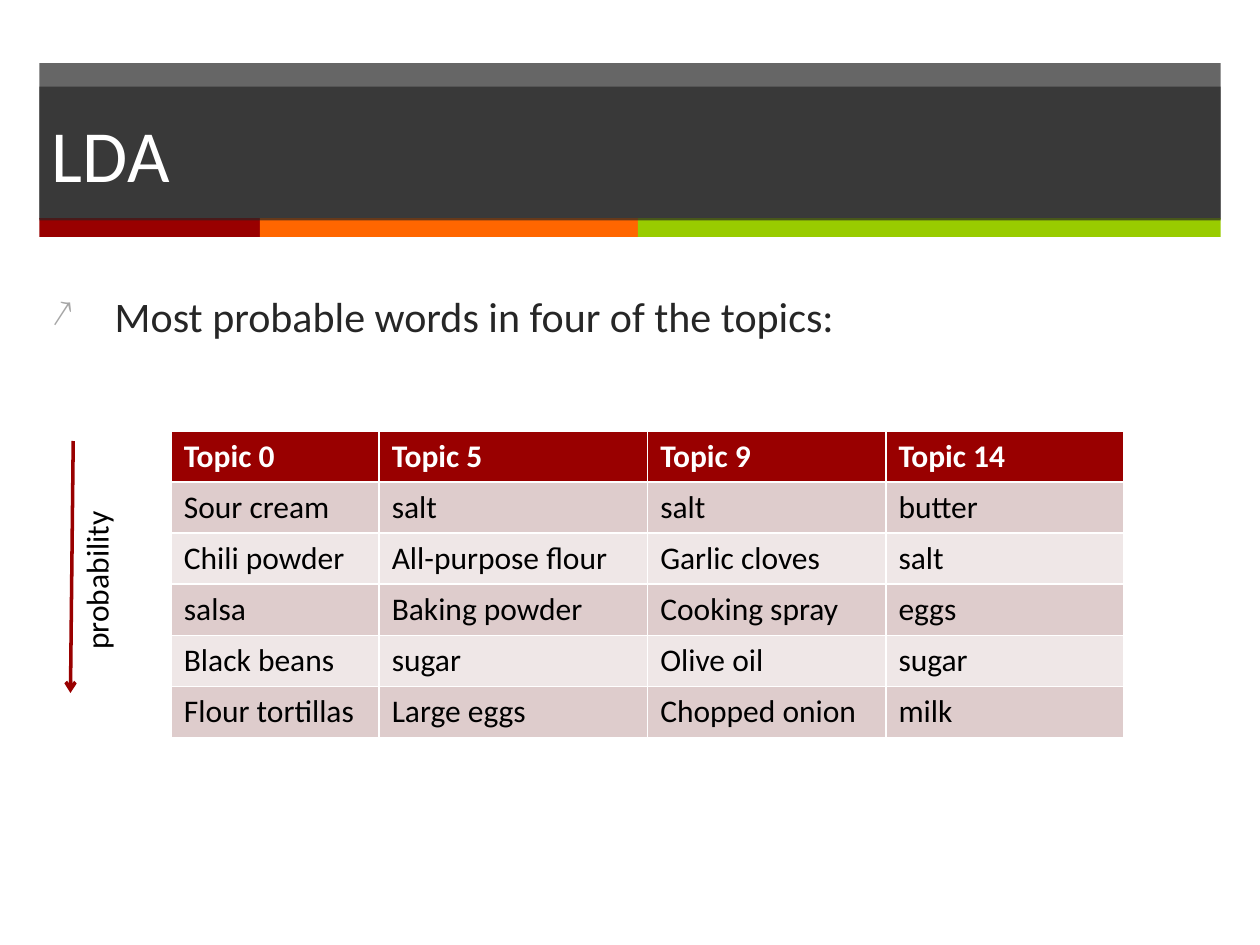
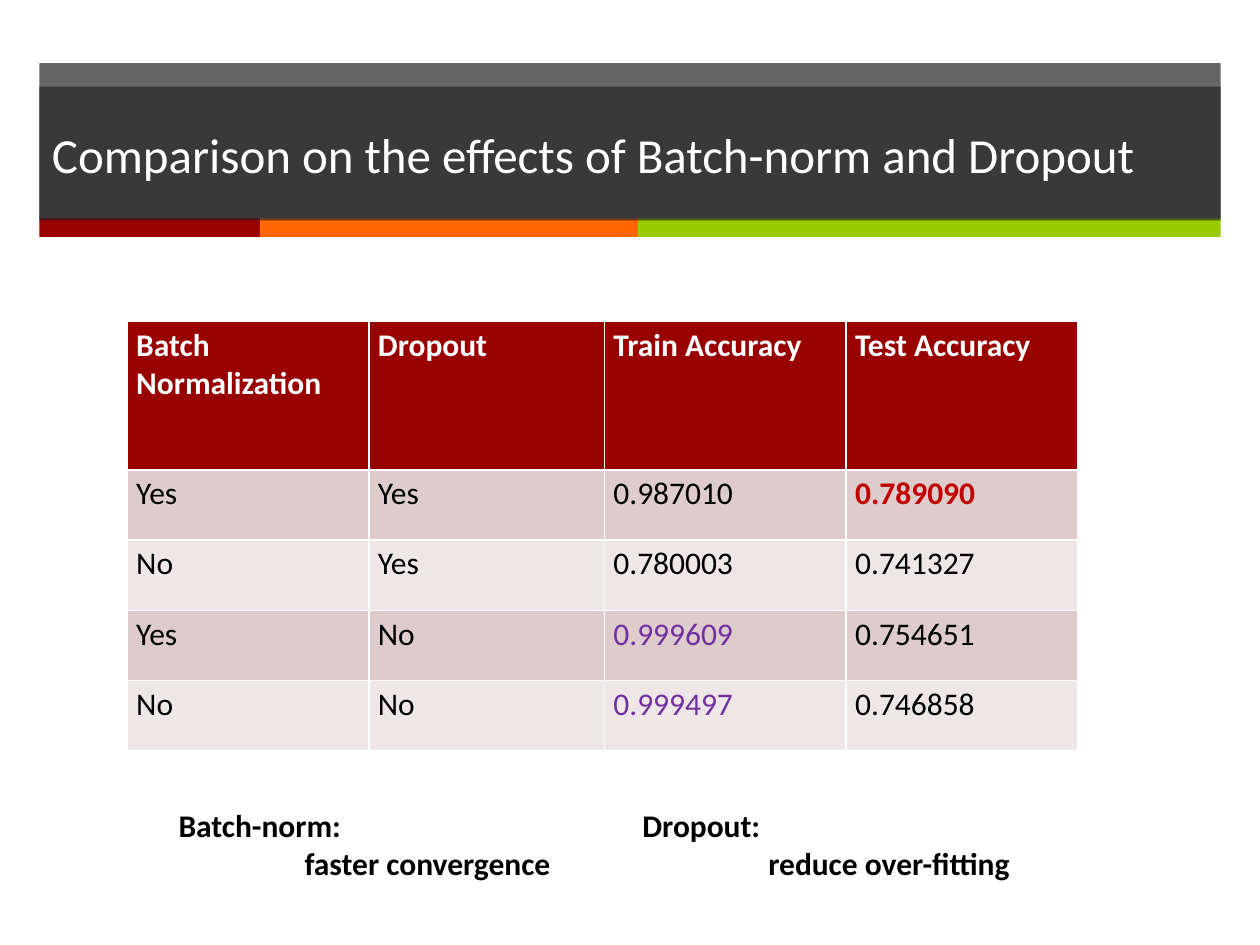
from lxml.etree import SubElement
from pptx import Presentation
from pptx.dml.color import RGBColor
from pptx.enum.shapes import MSO_CONNECTOR as Connector, MSO_SHAPE as Shape
from pptx.enum.text import MSO_ANCHOR as Anchor, PP_ALIGN as Align
from pptx.oxml.ns import qn
from pptx.util import Inches, Pt

WHITE = RGBColor(0xFF, 0xFF, 0xFF)
BLACK = RGBColor(0x00, 0x00, 0x00)
CHARCOAL = RGBColor(0x26, 0x26, 0x26)
CRIMSON = RGBColor(0x99, 0x00, 0x00)
ORANGE = RGBColor(0xFF, 0x66, 0x00)
LIME = RGBColor(0x99, 0xCC, 0x00)
ROW_DARK = RGBColor(0xDE, 0xCC, 0xCC)
ROW_LIGHT = RGBColor(0xEF, 0xE7, 0xE7)
RED = RGBColor(0xC0, 0x00, 0x00)
PURPLE = RGBColor(0x70, 0x30, 0xA0)

presentation = Presentation()
presentation.slide_width, presentation.slide_height = Inches(10), Inches(7.5)
COLUMN = presentation.slide_width / 32
ROW = presentation.slide_height / 60


def grid(left, top, columns, rows):
    return [int(left * COLUMN), int(top * ROW), int(columns * COLUMN), int(rows * ROW)]


def write(paragraph, text, size=18, color=BLACK, bold=False):
    paragraph.text = text
    paragraph.alignment = Align.LEFT
    font = paragraph.runs[0].font
    for name, value in {"name": "Calibri", "size": Pt(size), "bold": bold}.items():
        setattr(font, name, value)
    font.color.rgb = color


BANDS = [
    (1, 4, 30, 9.9, CHARCOAL),
    (1, 13.85, 5.6, 1.2, CRIMSON),
    (6.6, 13.85, 9.6, 1.2, ORANGE),
    (16.2, 13.85, 14.8, 1.2, LIME),
]
PAGES = [
    {
        "title": "LDA",
        "title_size": 42,
        "corner": (4.35, 27.36),
        "columns": [5.28, 6.82, 6.05, 6.05],
        "rows": [3.24] * 6,
        "margins": (0.32, 0.4),
        "cells": [
            ["Topic 0", "Topic 5", "Topic 9", "Topic 14"],
            ["Sour cream", "salt", "salt", "butter"],
            ["Chili powder", "All-purpose flour", "Garlic cloves", "salt"],
            ["salsa", "Baking powder", "Cooking spray", "eggs"],
            ["Black beans", "sugar", "Olive oil", "sugar"],
            ["Flour tortillas", "Large eggs", "Chopped onion", "milk"],
        ],
        "accents": {},
    },
    {
        "title": "Comparison on the effects of Batch-norm and Dropout",
        "title_size": 28,
        "corner": (3.23, 20.4),
        "columns": [6.14, 5.98, 6.14, 5.89],
        "rows": [9.44] + [4.46] * 4,
        "margins": (0.23, 0.3),
        "cells": [
            ["Batch Normalization", "Dropout", "Train Accuracy", "Test Accuracy"],
            ["Yes", "Yes", "0.987010", "0.789090"],
            ["No", "Yes", "0.780003", "0.741327"],
            ["Yes", "No", "0.999609", "0.754651"],
            ["No", "No", "0.999497", "0.746858"],
        ],
        "accents": {"0.789090": (RED, True), "0.999609": (PURPLE, False), "0.999497": (PURPLE, False)},
    },
]

slides = []
for page in PAGES:
    slide = presentation.slides.add_slide(presentation.slide_layouts[5])
    slides.append(slide)
    title = slide.shapes.title
    title.left, title.top, title.width, title.height = grid(1, 5.5, 30, 8.5)
    title.text_frame.vertical_anchor = Anchor.MIDDLE
    write(title.text_frame.paragraphs[0], page["title"], page["title_size"], WHITE)
    title.fill.solid()
    title.fill.fore_color.rgb = CHARCOAL

    bands = []
    for *place, color in BANDS:
        band = slide.shapes.add_shape(Shape.RECTANGLE, *grid(*place))
        band.shadow.inherit = False
        band.line.fill.background()
        band.fill.solid()
        band.fill.fore_color.rgb = color
        bands.append(band)
    for shape in (bands[0], title):
        fill_color = shape.element.spPr.find(qn("a:solidFill"))[0]
        SubElement(fill_color, qn("a:alpha"), val="70000")
    title.element.getparent().append(title.element)

    cells, widths, heights = page["cells"], page["columns"], page["rows"]
    place = grid(*page["corner"], sum(widths), sum(heights))
    table = slide.shapes.add_table(len(cells), len(widths), *place).table
    for column, width in zip(table.columns, widths):
        column.width = int(width * COLUMN)
    side, edge = int(page["margins"][0] * COLUMN), int(page["margins"][1] * ROW)
    for row_index, texts in enumerate(cells):
        table.rows[row_index].height = int(heights[row_index] * ROW)
        for column_index, text in enumerate(texts):
            cell = table.cell(row_index, column_index)
            cell.margin_left = cell.margin_right = side
            cell.margin_top = cell.margin_bottom = edge
            cell.fill.solid()
            if row_index == 0:
                cell.fill.fore_color.rgb = CRIMSON
                color, bold = WHITE, True
            else:
                cell.fill.fore_color.rgb = ROW_DARK if row_index % 2 else ROW_LIGHT
                color, bold = page["accents"].get(text, (BLACK, False))
            write(cell.text_frame.paragraphs[0], text, color=color, bold=bold)

topics, comparison = slides

intro = topics.shapes.add_textbox(*grid(1, 18.08, 28.8, 4.4))
intro.text_frame.word_wrap = True
paragraph = intro.text_frame.paragraphs[0]
write(paragraph, "Most probable words in four of the topics:", 24, CHARCOAL)
properties = paragraph._p.get_or_add_pPr()
properties.set("marL", str(Inches(0.5)))
properties.set("indent", str(-Inches(0.5)))
bullet_color = SubElement(properties, qn("a:buClr"))
SubElement(bullet_color, qn("a:srgbClr"), val="A6A6A6")
SubElement(properties, qn("a:buSzPct"), val="90000")
SubElement(properties, qn("a:buChar"), char="↗")

arrow = topics.shapes.add_connector(Connector.STRAIGHT, *grid(1.86, 28, 1.79, 44))
arrow.line.color.rgb = CRIMSON
arrow.line.width = Pt(2)
SubElement(arrow.line._get_or_add_ln(), qn("a:tailEnd"), type="arrow")
SubElement(arrow.element.spPr, qn("a:effectLst"))

axis_label = topics.shapes.add_textbox(*grid(0.35, 35.2, 4.19, 3.2))
axis_label.rotation = 270
axis_label.text_frame.word_wrap = False
write(axis_label.text_frame.paragraphs[0], "probability")

for left, method, effect in [
    (4.22, "Batch-norm:", "faster convergence"),
    (16, "Dropout:", "reduce over-fitting"),
]:
    finding = comparison.shapes.add_textbox(*grid(left, 50.8, 10.6, 5.68))
    finding.text_frame.word_wrap = True
    write(finding.text_frame.paragraphs[0], method, bold=True)
    paragraph = finding.text_frame.add_paragraph()
    write(paragraph, effect, bold=True)
    paragraph._p.get_or_add_pPr().set("marL", str(Inches(1)))

presentation.save("out.pptx")
